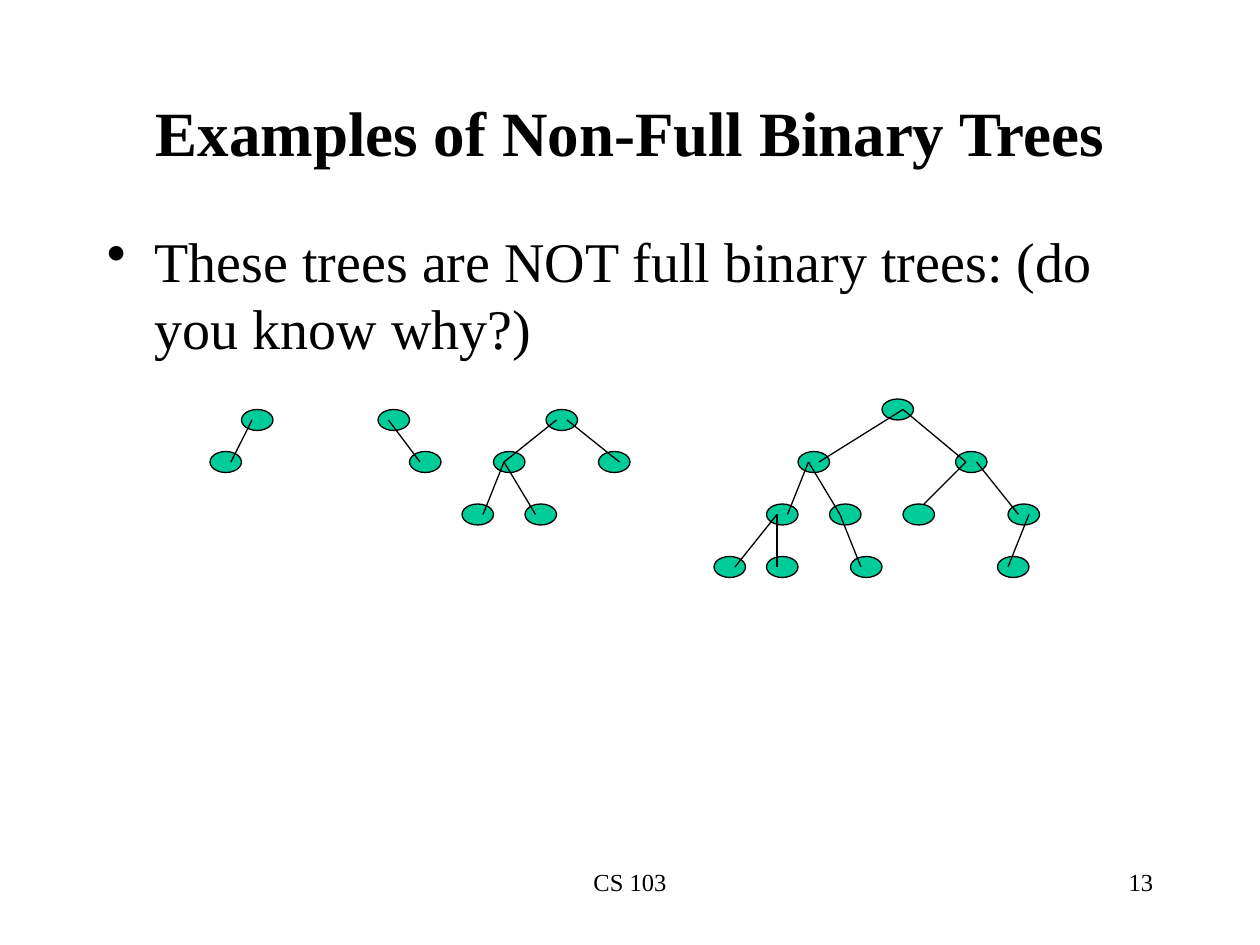
"""Build the slide with four non-full binary trees on a grid of 1/12 inch."""
from lxml.etree import SubElement
from pptx import Presentation
from pptx.dml.color import RGBColor
from pptx.enum.shapes import MSO_CONNECTOR as Connector, MSO_SHAPE as Shape
from pptx.enum.text import MSO_ANCHOR as Anchor, PP_ALIGN as Align
from pptx.oxml.ns import qn
from pptx.util import Inches, Pt

THEME = {
    "font": "Times New Roman",
    "ink": RGBColor(0x00, 0x00, 0x00),
    "node": RGBColor(0x00, 0xCC, 0x99),
    "title": 36,
    "body": 32,
    "footer": 14,
    "stroke": 0.75,
}
TITLE = "Examples of Non-Full Binary Trees"
STATEMENT = "These trees are NOT full binary trees: (do you know why?)"
COURSE = "CS 103"
PAGE = "13"

GRID = 12
NODE_COLUMNS, NODE_ROWS = 3, 2
TREES = [
    {
        "nodes": [(23, 39), (20, 43)],
        "edges": [(24, 40, 22, 44)],
    },
    {
        "nodes": [(36, 39), (39, 43)],
        "edges": [(37, 40, 40, 44)],
    },
    {
        "nodes": [(52, 39), (47, 43), (57, 43), (44, 48), (50, 48)],
        "edges": [(53, 40, 48, 44), (54, 40, 59, 44),
                  (48, 44, 46, 49), (48, 44, 51, 49)],
    },
    {
        "nodes": [(84, 38), (76, 43), (91, 43),
                  (73, 48), (79, 48), (86, 48), (96, 48),
                  (68, 53), (73, 53), (81, 53), (95, 53)],
        "edges": [(86, 39, 78, 44), (86, 39, 92, 44),
                  (77, 44, 75, 49), (77, 44, 80, 49),
                  (92, 44, 88, 48), (93, 44, 97, 49),
                  (74, 49, 70, 54), (74, 49, 74, 54),
                  (80, 49, 82, 54), (98, 49, 96, 54)],
    },
]


def cells(*counts):
    return [Inches(count / GRID) for count in counts]


def add_text(slide, words, area, size, align=Align.LEFT,
             anchor=Anchor.TOP, bold=False, bullet=False):
    frame = slide.shapes.add_textbox(*cells(*area)).text_frame
    frame.word_wrap = True
    frame.vertical_anchor = anchor
    frame.text = words
    paragraph = frame.paragraphs[0]
    paragraph.alignment = align
    if bullet:
        properties = paragraph._p.get_or_add_pPr()
        properties.set("marL", str(Inches(0.38)))
        properties.set("indent", str(-Inches(0.38)))
        SubElement(properties, qn("a:buChar")).set("char", "•")
    font = paragraph.runs[0].font
    font.name = THEME["font"]
    font.size = Pt(size)
    font.bold = bold
    font.color.rgb = THEME["ink"]


def style_line(line):
    line.color.rgb = THEME["ink"]
    line.width = Pt(THEME["stroke"])


def add_tree(slide, tree):
    for column, row in tree["nodes"]:
        node = slide.shapes.add_shape(
            Shape.OVAL, *cells(column, row, NODE_COLUMNS, NODE_ROWS))
        node.shadow.inherit = False
        node.fill.solid()
        node.fill.fore_color.rgb = THEME["node"]
        style_line(node.line)
    for ends in tree["edges"]:
        edge = slide.shapes.add_connector(Connector.STRAIGHT, *cells(*ends))
        style_line(edge.line)
        SubElement(edge._element.spPr, qn("a:effectLst"))


def main():
    deck = Presentation()
    deck.slide_width, deck.slide_height = Inches(10), Inches(7.5)
    slide = deck.slides.add_slide(deck.slide_layouts[6])
    add_text(slide, TITLE, (9, 8, 102, 9), THEME["title"],
             Align.CENTER, Anchor.MIDDLE, bold=True)
    add_text(slide, STATEMENT, (9, 21, 102, 59), THEME["body"], bullet=True)
    for tree in TREES:
        add_tree(slide, tree)
    add_text(slide, COURSE, (41, 82, 38, 6), THEME["footer"], Align.CENTER)
    add_text(slide, PAGE, (86, 82, 25, 6), THEME["footer"], Align.RIGHT)
    deck.save("out.pptx")


if __name__ == "__main__":
    main()
